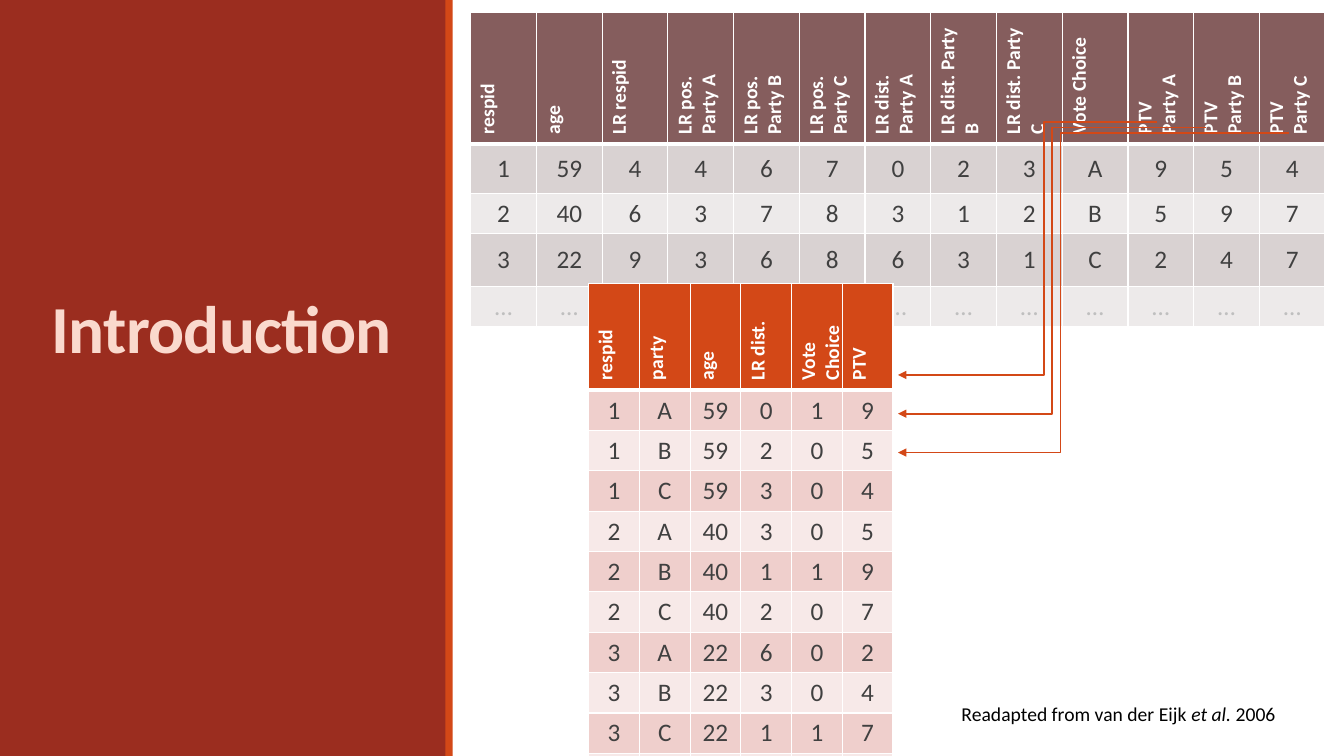
from dataclasses import dataclass

from lxml import etree
from pptx import Presentation, util as u
from pptx.dml.color import RGBColor
from pptx.enum import shapes, text
from pptx.oxml import ns


@dataclass(frozen=True)
class Theme:
    """Colours and type sizes of the slide."""
    font: str = "Calibri"
    panel: str = "9B2D1F"
    accent: str = "D34817"
    title: str = "FAD9CD"
    white: str = "FFFFFF"
    black: str = "000000"
    body: str = "404040"
    muted: str = "BFBFBF"
    wide_header: str = "855D5D"
    wide_bands: tuple = ("D9D2D2", "EDEAEA")
    long_bands: tuple = ("EFCFCC", "F7E9E8")
    title_size: int = 48
    body_size: int = 18
    small_size: int = 14


THEME = Theme()
PARTIES = "ABC"
ELLIPSIS = "…"
WIDE_HEADERS = (
    ["respid", "age", "LR respid"]
    + [f"LR pos.\nParty {party}" for party in PARTIES]
    + ["LR dist.\nParty A", "LR dist. Party B", "LR dist. Party C", "Vote Choice"]
    + [f"PTV\nParty {party}" for party in PARTIES]
)
LONG_HEADERS = ["respid", "party", "age", "LR dist.", "Vote Choice", "PTV"]
RESPONDENTS = [
    [1, 59, 4, 4, 6, 7, 0, 2, 3, "A", 9, 5, 4],
    [2, 40, 6, 3, 7, 8, 3, 1, 2, "B", 5, 9, 7],
    [3, 22, 9, 3, 6, 8, 6, 3, 1, "C", 2, 4, 7],
]


def stack_by_party(respondents):
    """Turn each respondent into one row per party."""
    return [
        [row[0], party, row[1], row[6 + index], int(row[9] == party), row[10 + index]]
        for row in respondents
        for index, party in enumerate(PARTIES)
    ]


def style_text(frame, size, color, bold=False, align=None):
    """Format every run in a text frame."""
    for paragraph in frame.paragraphs:
        paragraph.alignment = align
        for run in paragraph.runs:
            run.font.name = THEME.font
            run.font.size = u.Pt(size)
            run.font.bold = bold
            run.font.color.rgb = RGBColor.from_string(color)


def add_bar(slide, left, width, color):
    """Add a full-height vertical bar without an outline."""
    bar = slide.shapes.add_shape(
        shapes.MSO_SHAPE.RECTANGLE, u.Pt(left), 0, u.Pt(width), u.Pt(540))
    bar.shadow.inherit = False
    bar.fill.solid()
    bar.fill.fore_color.rgb = RGBColor.from_string(color)
    bar.line.fill.background()


def add_text(slide, left, top, width, height, parts):
    """Add a wrapping text box with one paragraph made of the given parts."""
    box = slide.shapes.add_textbox(*map(u.Pt, (left, top, width, height)))
    frame = box.text_frame
    frame.word_wrap = True
    for part in parts:
        frame.paragraphs[0].add_run().text = part
    return frame


def add_title(slide):
    """Add the title, lifted above the middle of the panel."""
    frame = add_text(slide, 29.52, 41.04, 268.56, 454.32, ["Introduction"])
    frame.vertical_anchor = text.MSO_ANCHOR.MIDDLE
    frame.margin_bottom = u.Pt(65)
    frame.margin_right = u.Pt(18)
    style_text(frame, THEME.title_size, THEME.title, True, text.PP_ALIGN.CENTER)
    paragraph = frame.paragraphs[0]
    paragraph.line_spacing = 0.85
    paragraph.runs[0].font._element.set("spc", "-50")


def add_caption(slide):
    """Add the citation with its italic middle part."""
    parts = ["Readapted from van der Eijk ", "et al.", " 2006"]
    frame = add_text(slide, 679.68, 497.52, 267.12, 24.48, parts)
    style_text(frame, THEME.small_size, THEME.black)
    frame.paragraphs[0].runs[1].font.italic = True


def set_borders(cell, top, bottom):
    """Draw white cell borders, with their own top and bottom widths."""
    properties = cell._tc.get_or_add_tcPr()
    for side, width in (("L", 1), ("R", 1), ("T", top), ("B", bottom)):
        line = etree.SubElement(
            properties, ns.qn(f"a:ln{side}"), w=str(u.Pt(width)))
        fill = etree.SubElement(line, ns.qn("a:solidFill"))
        etree.SubElement(fill, ns.qn("a:srgbClr"), val=THEME.white)


def fill_cell(cell, value, color, row_index, header_anchor):
    """Write and style one table cell."""
    header = row_index == 0
    set_borders(cell, 3 if row_index == 1 else 1, 3 if header else 1)
    cell.fill.solid()
    cell.fill.fore_color.rgb = RGBColor.from_string(color)
    frame = cell.text_frame
    frame.text = str(value)
    if header:
        cell._tc.get_or_add_tcPr().set("vert", "vert270")
        cell.vertical_anchor = header_anchor
        style_text(frame, THEME.small_size, THEME.white, True)
    else:
        cell.vertical_anchor = text.MSO_ANCHOR.MIDDLE
        ink = THEME.muted if value == ELLIPSIS else THEME.body
        style_text(frame, THEME.body_size, ink, align=text.PP_ALIGN.CENTER)


def add_data_table(slide, place, headers, records, heights, header_color, bands,
                   header_anchor=None):
    """Add a banded table with rotated headers and a closing ellipsis row."""
    rows = [headers, *records, [ELLIPSIS] * len(headers)]
    frame = slide.shapes.add_table(len(rows), len(headers), *map(u.Pt, place))
    table = frame.table
    table.horz_banding = False
    for column in table.columns:
        column.width = u.Pt(place[2] / len(headers))
    for row_index, (values, height) in enumerate(zip(rows, heights)):
        table.rows[row_index].height = u.Pt(height)
        color = bands[(row_index - 1) % 2] if row_index else header_color
        for column_index, value in enumerate(values):
            cell = table.cell(row_index, column_index)
            fill_cell(cell, value, color, row_index, header_anchor)


def add_elbow_arrow(slide, start, end, bend):
    """Add an elbow arrow that turns at the horizontal position bend."""
    arrow = slide.shapes.add_connector(
        shapes.MSO_CONNECTOR.ELBOW, *map(u.Pt, (*start, *end)))
    arrow.line.color.rgb = RGBColor.from_string(THEME.accent)
    arrow.line.width = u.Pt(1.25)
    properties = arrow._element.spPr
    share = round((start[0] - bend) / (start[0] - end[0]) * 100000)
    guides = properties.find(".//" + ns.qn("a:avLst"))
    etree.SubElement(guides, ns.qn("a:gd"), name="adj1", fmla=f"val {share}")
    line = properties.find(ns.qn("a:ln"))
    etree.SubElement(line, ns.qn("a:tailEnd"), type="triangle")
    etree.SubElement(properties, ns.qn("a:effectLst"))


def main():
    """Build the slide and save it."""
    presentation = Presentation()
    presentation.slide_width, presentation.slide_height = u.Pt(960), u.Pt(540)
    slide = presentation.slides.add_slide(presentation.slide_layouts[6])

    add_bar(slide, 0, 319, THEME.panel)
    add_title(slide)
    add_bar(slide, 318.24, 5.04, THEME.accent)
    add_data_table(
        slide, (336.24, 8.8, 610.56, 182.88), WIDE_HEADERS, RESPONDENTS,
        [52.56, 35.28, 25.92, 37.44, 18], THEME.wide_header, THEME.wide_bands)
    add_data_table(
        slide, (420.48, 202.32, 217.44, 336.24), LONG_HEADERS,
        stack_by_party(RESPONDENTS), [48.24] + [28.08] * 10,
        THEME.accent, THEME.long_bands, text.MSO_ANCHOR.MIDDLE)
    for index, start_x in enumerate((826.56, 861.84, 920.88)):
        add_elbow_arrow(
            slide, (start_x, 87.12 + 3.96 * index),
            (641.52, 267.84 + 27.72 * index), 745.92 + 5.76 * index)
    add_caption(slide)
    presentation.save("out.pptx")


if __name__ == "__main__":
    main()
